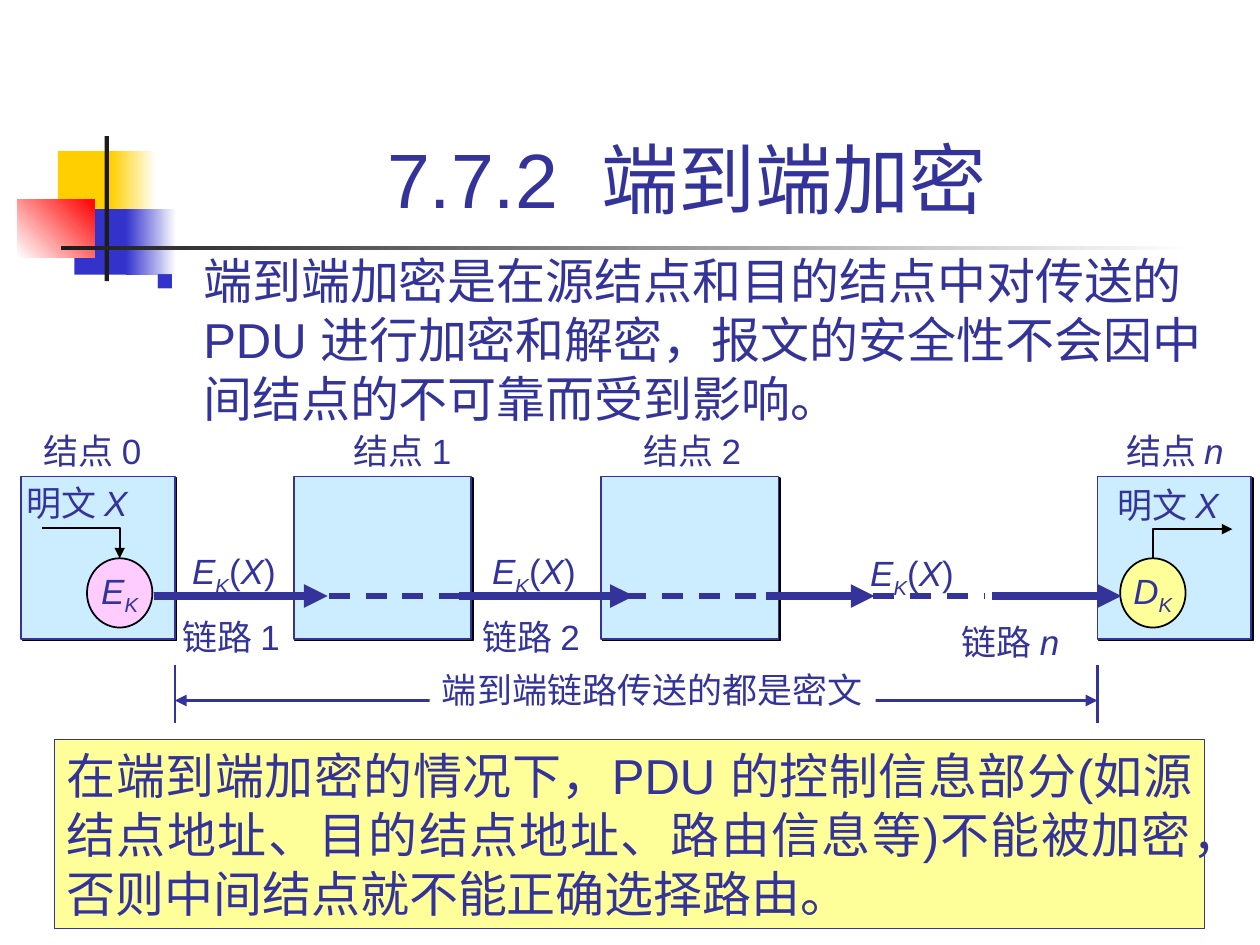
from lxml import etree
from pptx import Presentation
from pptx.dml.color import RGBColor
from pptx.enum import dml, shapes, text
from pptx.oxml import ns
from pptx.util import Pt

THEME = {
    "font": "Arial", "ink": "333399", "black": "000000", "white": "FFFFFF",
    "node": "CCECFF", "note": "FFFF99", "encrypt": "FFCCFF", "bullet": "3333CC",
    "gold": "FFCF01", "red": "FF0000", "bar": "1C1C1C",
    "title": 44, "body": 28, "label": 20,
}

TITLE = "7.7.2  端到端加密 "
INTRO = "端到端加密是在源结点和目的结点中对传送的 PDU 进行加密和解密，报文的安全性不会因中间结点的不可靠而受到影响。"
NOTE = "在端到端加密的情况下，PDU 的控制信息部分(如源结点地址、目的结点地址、路由信息等)不能被加密，否则中间结点就不能正确选择路由。"
SPAN = "端到端链路传送的都是密文"
CIPHERTEXT = [("E", "i"), ("K", "is"), ("(", ""), ("X", "i"), (")", "")]
PLAINTEXT = [("明文 ", ""), ("X", "i")]

DECOR = [
    (33.1, 86.4, 34.6, 37.4, ["gold"], 0),
    (63.4, 86.4, 25.9, 37.4, ["gold", "white"], 0),
    (42.5, 119.5, 33.1, 37.4, ["bullet"], 0),
    (72, 119.5, 28.8, 37.4, ["bullet", "white"], 0),
    (10.1, 113.8, 43.9, 33.1, ["white", "red"], 45),
    (59.8, 77.8, 2.5, 82.8, ["bar"], 0),
    (34.6, 140.4, 648, 2.5, ["bar", "white"], 0),
]
NODES = [
    (12.2, 87.8, 18, [("结点 0", "")]),
    (167.8, 101.5, 195.1, [("结点 1", "")]),
    (343.4, 101.5, 360.7, [("结点 2", "")]),
    (627.1, 87.8, 636.5, [("结点 ", ""), ("n", "i")]),
]
ENDPOINTS = [
    ("E", 49.7, "encrypt", (7.9, 271.4), [(23.8, 301.7), (68.4, 301.7), (68.4, 319)]),
    ("D", 640.1, "note", (631.4, 272.9), [(658.8, 319), (658.8, 302.4), (704.2, 302.4)]),
]
LINKS = [
    (97.2, 75, 1.45, 5.5, 0, False, [("链路 1", "")]),
    (268.6, 75, 1.45, 5.5, 0, False, [("链路 2", "")]),
    (484.6, 142.6, 1.5, 5.5, 58, True, [("链路 ", ""), ("n", "i")]),
]
HOPS = [(87.8, 187.2), (262.1, 362.2), (566.6, 640.8), (437.8, 499.7)]
RELAYS = [(499, 563), (187.9, 277.9), (357.1, 446.4)]
NODE_TOP, NODE_HEIGHT, LABEL_TOP, LABEL_HEIGHT = 272.2, 92.9, 241.9, 31.7
FLOW_Y, SPAN_Y, TICK_TOP, TICK_BOTTOM = 340.6, 400.3, 380.2, 413.3


def colour(name):
    return RGBColor.from_string(THEME[name])


def assign(target, values):
    for key, value in values.items():
        setattr(target, key, value)


def add_xml(parent, tag, **attributes):
    return etree.SubElement(parent, ns.qn(tag), attributes)


def write(frame, paragraphs, size="label", wrap=True, anchor=text.MSO_ANCHOR.TOP, **style):
    assign(frame, {"word_wrap": wrap, "vertical_anchor": anchor,
                   "auto_size": text.MSO_AUTO_SIZE.NONE})
    for index, runs in enumerate(paragraphs):
        line = frame.paragraphs[0] if index == 0 else frame.add_paragraph()
        assign(line, {"alignment": text.PP_ALIGN.LEFT, **style})
        for words, marks in runs:
            run = line.add_run()
            run.text = words
            assign(run.font, {"name": THEME["font"], "size": Pt(THEME[size]),
                              "italic": "i" in marks})
            run.font.color.rgb = colour("ink")
            if "s" in marks:
                run._r.get_or_add_rPr().set("baseline", "-25000")


def add_label(slide, box, paragraphs, **style):
    label = slide.shapes.add_textbox(*map(Pt, box))
    write(label.text_frame, paragraphs, **style)
    return label


def add_block(slide, box, fills, edge=None, weight=1, angle=0, kind=shapes.MSO_SHAPE.RECTANGLE):
    block = slide.shapes.add_shape(kind, *map(Pt, box))
    block.shadow.inherit = False
    if len(fills) == 1:
        block.fill.solid()
        block.fill.fore_color.rgb = colour(fills[0])
    else:
        block.fill.gradient()
        block.fill.gradient_angle = angle
        for stop, name in zip(block.fill.gradient_stops, fills):
            stop.color.rgb = colour(name)
    if edge:
        block.line.color.rgb = colour(edge)
        block.line.width = Pt(weight)
    else:
        block.line.fill.background()
    return block


def add_line(slide, start, end, weight, ends=(), dashed=False):
    line = slide.shapes.add_connector(shapes.MSO_CONNECTOR.STRAIGHT, *map(Pt, start + end))
    add_xml(line._element.spPr, "a:effectLst")
    line.line.color.rgb = colour("ink")
    line.line.width = Pt(weight)
    if dashed:
        line.line.dash_style = dml.MSO_LINE.DASH
    for tag in ends:
        add_xml(line.line._get_or_add_ln(), tag, type="triangle")


def add_node(slide, left, width, label_left, name):
    node = add_block(slide, (left, NODE_TOP, width, NODE_HEIGHT), ["node"], "ink")
    effects = node._element.spPr.find(ns.qn("a:effectLst"))
    shadow = add_xml(effects, "a:outerShdw", dist=str(Pt(1.4)), dir="2700000",
                     algn="ctr", rotWithShape="0")
    add_xml(shadow, "a:srgbClr", val=THEME["black"])
    add_label(slide, (label_left, LABEL_TOP, 74.9, LABEL_HEIGHT), [name], wrap=False)


def add_endpoint(slide, letter, left, fill, plain_at, route):
    cipher = add_block(slide, (left, 319, 37.4, 39.6), [fill], "black",
                       kind=shapes.MSO_SHAPE.OVAL)
    write(cipher.text_frame, [[(letter, "i"), ("K", "is")]], wrap=False,
          anchor=text.MSO_ANCHOR.MIDDLE, alignment=text.PP_ALIGN.CENTER)
    points = [tuple(map(Pt, point)) for point in route]
    builder = slide.shapes.build_freeform(*points[0])
    builder.add_line_segments(points[1:], close=False)
    path_line = builder.convert_to_shape()
    path_line.shadow.inherit = False
    path_line.fill.background()
    path_line.line.color.rgb = colour("black")
    path_line.line.width = Pt(1)
    add_xml(path_line.line._get_or_add_ln(), "a:tailEnd", type="triangle")
    add_label(slide, (*plain_at, 77, LABEL_HEIGHT), [PLAINTEXT], wrap=False)


def add_link(slide, left, width, spacing, cipher_indent, name_indent, wrap, name):
    link = add_label(slide, (left, 298.1, width, 83), [CIPHERTEXT, name],
                     wrap=wrap, line_spacing=spacing)
    for line, indent in zip(link.text_frame.paragraphs, (cipher_indent, name_indent)):
        line._p.get_or_add_pPr().set("marL", str(Pt(indent)))


def add_intro(slide):
    intro = add_label(slide, (82.1, 139.7, 612, 124.6), [[(INTRO, "")]],
                      size="body", space_before=Pt(7))
    props = intro.text_frame.paragraphs[0]._p.get_or_add_pPr()
    props.set("marL", str(Pt(27)))
    props.set("indent", str(Pt(-27)))
    add_xml(add_xml(props, "a:buClr"), "a:srgbClr", val=THEME["bullet"])
    add_xml(props, "a:buSzPct", val="60000")
    add_xml(props, "a:buFont", typeface=THEME["font"])
    add_xml(props, "a:buChar", char="■")


def main():
    deck = Presentation()
    assign(deck, {"slide_width": Pt(720), "slide_height": Pt(540)})
    slide = deck.slides.add_slide(deck.slide_layouts[5])
    for *box, fills, angle in DECOR:
        add_block(slide, box, fills, angle=angle)
    title = slide.shapes.title
    assign(title, {"left": Pt(90.7), "top": Pt(16.6), "width": Pt(613.4), "height": Pt(115.2)})
    write(title.text_frame, [[(TITLE, "")]], size="title",
          anchor=text.MSO_ANCHOR.BOTTOM, alignment=text.PP_ALIGN.CENTER)
    add_intro(slide)

    for node in NODES:
        add_node(slide, *node)
    for endpoint in ENDPOINTS:
        add_endpoint(slide, *endpoint)
    for link in LINKS:
        add_link(slide, *link)
    for start, end in HOPS:
        add_line(slide, (start, FLOW_Y), (end, FLOW_Y), 4.5, ["a:tailEnd"])
    for start, end in RELAYS:
        add_line(slide, (start, FLOW_Y), (end, FLOW_Y), 3, dashed=True)

    span_left, span_right = NODES[0][0] + NODES[0][1], NODES[-1][0]
    add_line(slide, (span_left, SPAN_Y), (span_right, SPAN_Y), 2.25, ["a:headEnd", "a:tailEnd"])
    span = add_block(slide, (245.5, 378.7, 254.9, LABEL_HEIGHT), ["white"])
    write(span.text_frame, [[(SPAN, "")]], wrap=False)
    for x in (span_left, span_right):
        add_line(slide, (x, TICK_TOP), (x, TICK_BOTTOM), 1.5)
    note = add_block(slide, (31, 422.6, 657.4, 108), ["note"], "ink", 0.75)
    write(note.text_frame, [[(NOTE, "")]], size="body", alignment=text.PP_ALIGN.JUSTIFY)
    deck.save("out.pptx")


if __name__ == "__main__":
    main()
